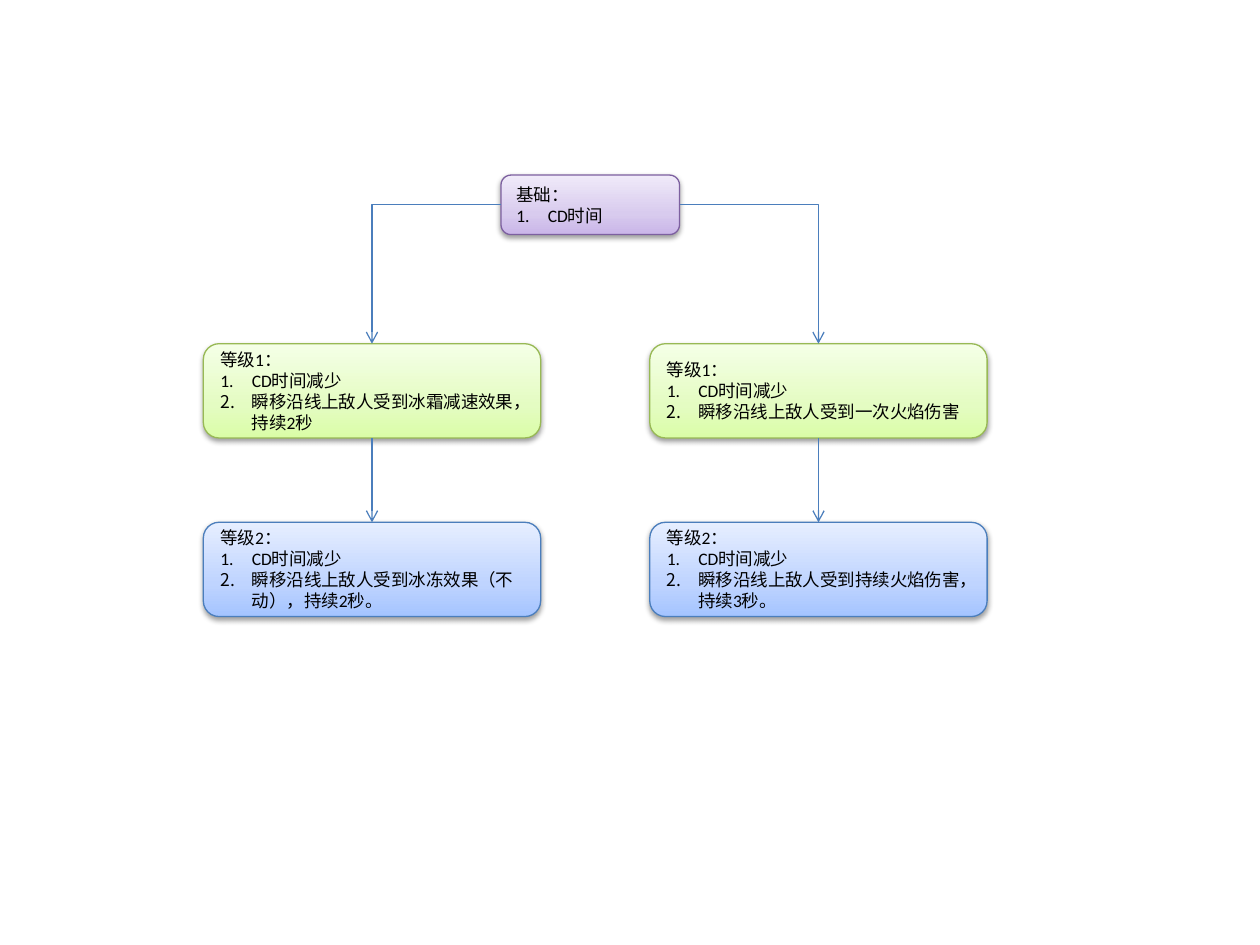
from lxml import etree
from pptx import Presentation
from pptx.dml.color import RGBColor
from pptx.enum import shapes, text
from pptx.oxml import parse_xml
from pptx.oxml.ns import nsdecls, qn
from pptx.util import Cm, Pt

BLACK = RGBColor(0x00, 0x00, 0x00)
BLUE = RGBColor(0x4B, 0x7E, 0xBC)
GREEN = RGBColor(0x98, 0xB9, 0x55)
PURPLE = RGBColor(0x7D, 0x60, 0xA0)

# Gradient stops at 0, 35 and 100 percent, from bottom to top
FADES = {
    PURPLE: [RGBColor(0xC9, 0xB5, 0xE8), RGBColor(0xD8, 0xCB, 0xEE), RGBColor(0xF0, 0xEA, 0xF9)],
    GREEN: [RGBColor(0xDA, 0xFD, 0xA7), RGBColor(0xE4, 0xFC, 0xC2), RGBColor(0xF5, 0xFF, 0xE7)],
    BLUE: [RGBColor(0xA4, 0xC4, 0xFF), RGBColor(0xBF, 0xD4, 0xFF), RGBColor(0xE6, 0xEE, 0xFF)],
}
TOP, LEFT, BOTTOM, RIGHT = range(4)  # connection sites of a box

deck = Presentation()
deck.slide_width, deck.slide_height = Cm(25.4), Cm(19.05)
slide = deck.slides.add_slide(deck.slide_layouts[6])


def add_box(x, y, w, h, color, title, items):
    """Add a shaded rounded box with a title line and a numbered list."""
    box = slide.shapes.add_shape(
        shapes.MSO_SHAPE.ROUNDED_RECTANGLE, Cm(x), Cm(y), Cm(w), Cm(h))
    box.line.color.rgb = color
    box.line.width = Pt(0.75)

    box.fill.gradient()
    box.fill.gradient_angle = 90
    stops = box._element.spPr.find(".//" + qn("a:gsLst"))
    stops.clear()
    for pos, shade in zip((0, 35, 100), FADES[color]):
        stops.append(parse_xml(
            f'<a:gs {nsdecls("a")} pos="{pos * 1000}"><a:srgbClr val="{shade}"/></a:gs>'))

    box.shadow.inherit = False
    box._element.spPr.find(qn("a:effectLst")).append(parse_xml(
        f'<a:outerShdw {nsdecls("a")} blurRad="40000" dist="20000" dir="5400000" '
        'rotWithShape="0"><a:srgbClr val="000000"><a:alpha val="38000"/>'
        '</a:srgbClr></a:outerShdw>'))

    frame = box.text_frame
    frame.word_wrap = True
    frame.vertical_anchor = text.MSO_ANCHOR.MIDDLE
    for i, line in enumerate([title, *items]):
        para = frame.add_paragraph() if i else frame.paragraphs[0]
        para.text = line
        para.alignment = text.PP_ALIGN.LEFT
        para.font.name = "Calibri"
        para.font.size = Pt(10)
        para.font.color.rgb = BLACK
        if i:
            props = para._p.get_or_add_pPr()
            props.set("marL", str(Cm(0.635)))
            props.set("indent", str(-Cm(0.635)))
            props.insert(0, parse_xml(
                f'<a:buAutoNum {nsdecls("a")} type="arabicPeriod"/>'))
    return box


def add_arrow(kind, start, site, end):
    """Link a site of one box to the top of another."""
    arrow = slide.shapes.add_connector(kind, 0, 0, 0, 0)
    arrow.begin_connect(start, site)
    arrow.end_connect(end, TOP)
    arrow.line.color.rgb = BLUE
    arrow.line.width = Pt(0.75)
    etree.SubElement(arrow.line._get_or_add_ln(), qn("a:tailEnd"), type="arrow")
    props = arrow._element.spPr
    etree.SubElement(props, qn("a:effectLst"))
    if kind == shapes.MSO_CONNECTOR.ELBOW:
        props.find(qn("a:prstGeom")).set("prst", "bentConnector2")  # one bend


base = add_box(10.1, 3.53, 3.6, 1.2, PURPLE, "基础：", ["CD时间"])

branches = [
    (4.1, LEFT, "瞬移沿线上敌人受到冰霜减速效果，持续2秒",
     "瞬移沿线上敌人受到冰冻效果（不动），持续2秒。"),
    (13.1, RIGHT, "瞬移沿线上敌人受到一次火焰伤害",
     "瞬移沿线上敌人受到持续火焰伤害，持续3秒。"),
]
for x, side, first, second in branches:
    one = add_box(x, 6.93, 6.8, 1.9, GREEN, "等级1：", ["CD时间减少", first])
    two = add_box(x, 10.53, 6.8, 1.9, BLUE, "等级2：", ["CD时间减少", second])
    add_arrow(shapes.MSO_CONNECTOR.ELBOW, base, side, one)
    add_arrow(shapes.MSO_CONNECTOR.STRAIGHT, one, BOTTOM, two)

deck.save("out.pptx")
